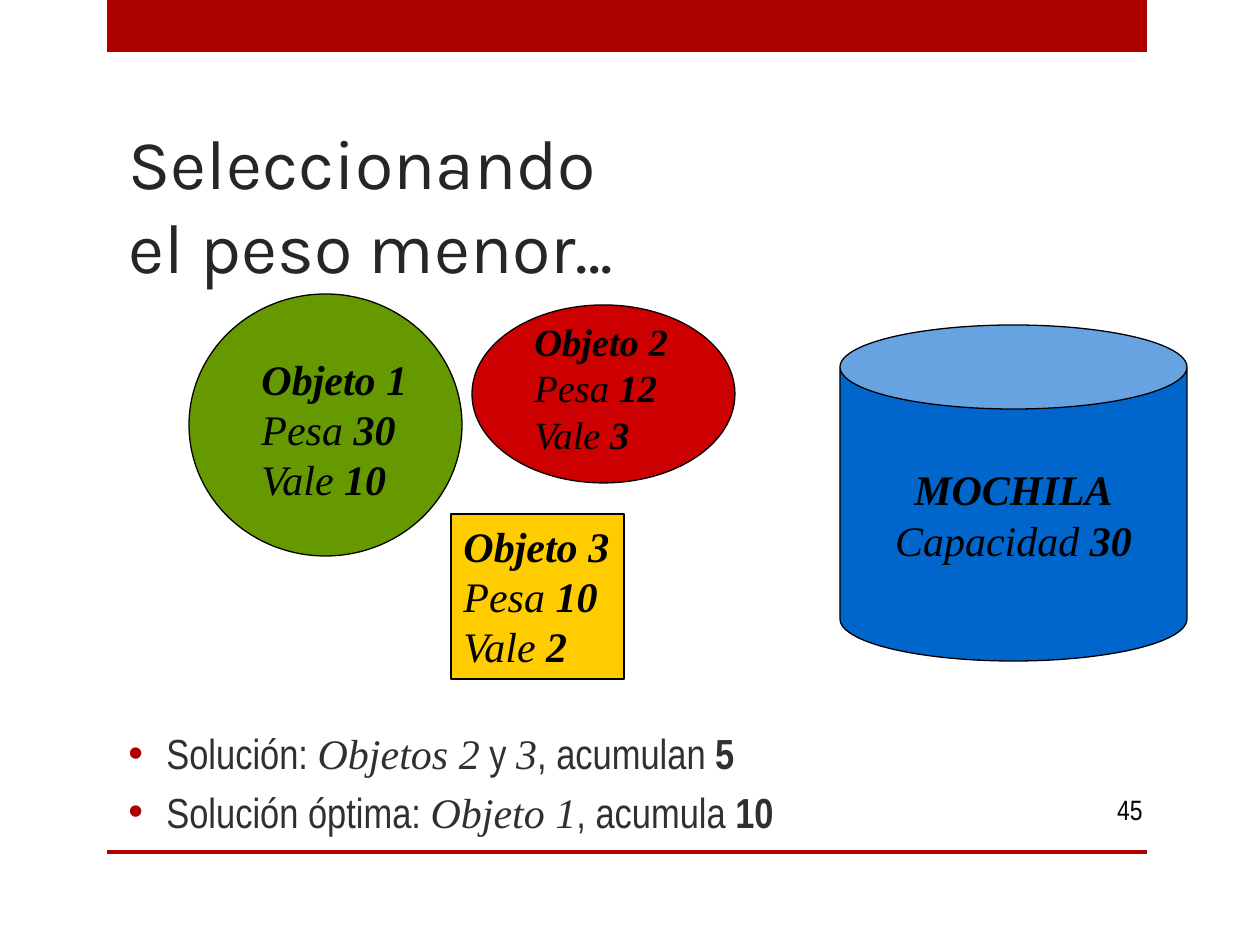
import dataclasses
import typing

import pptx
import pptx.dml.color
import pptx.enum.shapes
import pptx.enum.text
import pptx.oxml
import pptx.oxml.ns
import pptx.util

Shape = pptx.enum.shapes.MSO_SHAPE
Align = pptx.enum.text.PP_ALIGN
Anchor = pptx.enum.text.MSO_ANCHOR
Fit = pptx.enum.text.MSO_AUTO_SIZE

SCALE = 914400 / 126  # EMU in one px
COLORS = {
    "brand": "AD0101", "title": "262626", "body": "303030", "ink": "000000",
    "green": "669900", "red": "CC0000", "gold": "FFCC00", "blue": "0066CC",
}
SERIF, SANS, HEAD = "Times New Roman", "Arial Narrow", "Karla"


@dataclasses.dataclass
class Box:
    left: int
    top: int
    width: int
    height: int

    def emu(self) -> list[int]:
        return [round(v * SCALE) for v in dataclasses.astuple(self)]


@dataclasses.dataclass
class Run:
    text: str
    font: str = SERIF
    bold: bool = False
    ital: bool = False


@dataclasses.dataclass
class Item:
    kind: typing.Any
    box: Box
    fill: str
    name: str
    facts: list[tuple[str, str]]
    size: int = 24
    label: Box | None = None  # separate text box, when the text is not in the shape
    center: bool = False
    group: bool = False


def rgb(name: str) -> pptx.dml.color.RGBColor:
    return pptx.dml.color.RGBColor.from_string(COLORS[name])


def add_run(para: typing.Any, run: Run, size: int, color: str) -> None:
    part = para.add_run()
    part.text = run.text
    font = part.font
    font.name, font.size = run.font, pptx.util.Pt(size)
    font.bold, font.italic = run.bold, run.ital
    font.color.rgb = rgb(color)


def write(frame: typing.Any, lines: list[list[Run]], size: int, color: str,
          align: typing.Any = Align.LEFT) -> None:
    for i, line in enumerate(lines):
        para = frame.paragraphs[0] if i == 0 else frame.add_paragraph()
        para.alignment = align
        for run in line:
            add_run(para, run, size, color)


def add_text(shapes: typing.Any, box: Box, anchor: typing.Any = Anchor.TOP,
             wrap: bool = True) -> typing.Any:
    frame = shapes.add_textbox(*box.emu()).text_frame
    frame.word_wrap, frame.vertical_anchor = wrap, anchor
    return frame


def add_form(shapes: typing.Any, kind: typing.Any, box: Box, fill: str,
             edge: bool = True) -> typing.Any:
    shape = shapes.add_shape(kind, *box.emu())
    shape.shadow.inherit = False
    shape.fill.solid()
    shape.fill.fore_color.rgb = rgb(fill)
    if edge:
        shape.line.color.rgb = rgb("ink")
        shape.line.width = pptx.util.Pt(0.75)
    else:
        shape.line.fill.background()
    return shape


def add_item(slide: typing.Any, item: Item) -> None:
    shapes = slide.shapes.add_group_shape().shapes if item.group else slide.shapes
    shape = add_form(shapes, item.kind, item.box, item.fill)
    if item.label:
        frame = add_text(shapes, item.label, wrap=False)
    else:
        frame = shape.text_frame
        frame.word_wrap = False
        frame.vertical_anchor = Anchor.MIDDLE if item.center else Anchor.TOP
    if not item.center:
        frame.auto_size = Fit.SHAPE_TO_FIT_TEXT
    lines = [[Run(item.name, bold=True, ital=True)]]
    lines += [[Run(key + " ", ital=True), Run(value, bold=True, ital=True)]
              for key, value in item.facts]
    write(frame, lines, item.size, "ink", Align.CENTER if item.center else Align.LEFT)


def add_bullet(para: typing.Any) -> None:
    para.space_before = pptx.util.Pt(4.8)
    props = para._p.get_or_add_pPr()
    indent = round(38 * SCALE)
    props.set("marL", str(indent))
    props.set("indent", str(-indent))
    space = pptx.oxml.ns.nsdecls("a")
    for xml in (f'<a:buClr {space}><a:srgbClr val="{COLORS["brand"]}"/></a:buClr>',
                f'<a:buFont {space} typeface="Arial"/>',
                f'<a:buChar {space} char="•"/>'):
        props.append(pptx.oxml.parse_xml(xml))


ITEMS = [
    Item(Shape.OVAL, Box(189, 294, 273, 262), "green", "Objeto 1",
         [("Pesa", "30"), ("Vale", "10")], label=Box(249, 347, 171, 164), group=True),
    Item(Shape.OVAL, Box(472, 305, 263, 178), "red", "Objeto 2",
         [("Pesa", "12"), ("Vale", "3")], size=22, label=Box(522, 312, 159, 151)),
    Item(Shape.RECTANGLE, Box(451, 514, 173, 165), "gold", "Objeto 3",
         [("Pesa", "10"), ("Vale", "2")]),
    Item(Shape.CAN, Box(840, 325, 347, 336), "blue", "MOCHILA",
         [("Capacidad", "30")], center=True),
]
NOTES = [
    [Run("Solución: ", SANS), Run("Objetos 2", ital=True), Run(" y ", SANS),
     Run("3", ital=True), Run(", acumulan ", SANS), Run("5", SANS, bold=True)],
    [Run("Solución óptima: ", SANS), Run("Objeto 1", ital=True),
     Run(", acumula ", SANS), Run("10", SANS, bold=True)],
]


def main() -> None:
    deck = pptx.Presentation()
    deck.slide_width, deck.slide_height = pptx.util.Inches(10), pptx.util.Inches(7.5)
    slide = deck.slides.add_slide(deck.slide_layouts[5])

    # Bands at the top and bottom
    for top, height in ((0, 52), (850, 4)):
        add_form(slide.shapes, Shape.RECTANGLE, Box(107, top, 1040, height),
                 "brand", edge=False)

    # Title
    title = slide.shapes.title
    title.left, title.top, title.width, title.height = Box(116, 73, 935, 221).emu()
    frame = title.text_frame
    frame.word_wrap, frame.auto_size = True, Fit.NONE
    frame.vertical_anchor = Anchor.BOTTOM
    para = frame.paragraphs[0]
    para.alignment = Align.LEFT
    add_run(para, Run("Seleccionando ", HEAD), 40, "title")
    para.add_line_break()
    add_run(para, Run("el peso menor...", HEAD), 40, "title")

    # Solutions
    frame = add_text(slide.shapes, Box(116, 703, 1029, 158), Anchor.MIDDLE)
    write(frame, NOTES, 24, "body")
    for para in frame.paragraphs:
        add_bullet(para)

    # Page number
    frame = add_text(slide.shapes, Box(1050, 784, 105, 50), Anchor.MIDDLE)
    write(frame, [[Run("45", SANS)]], 16, "ink", Align.RIGHT)

    # Objects and knapsack
    for item in ITEMS:
        add_item(slide, item)

    deck.save("out.pptx")


if __name__ == "__main__":
    main()
